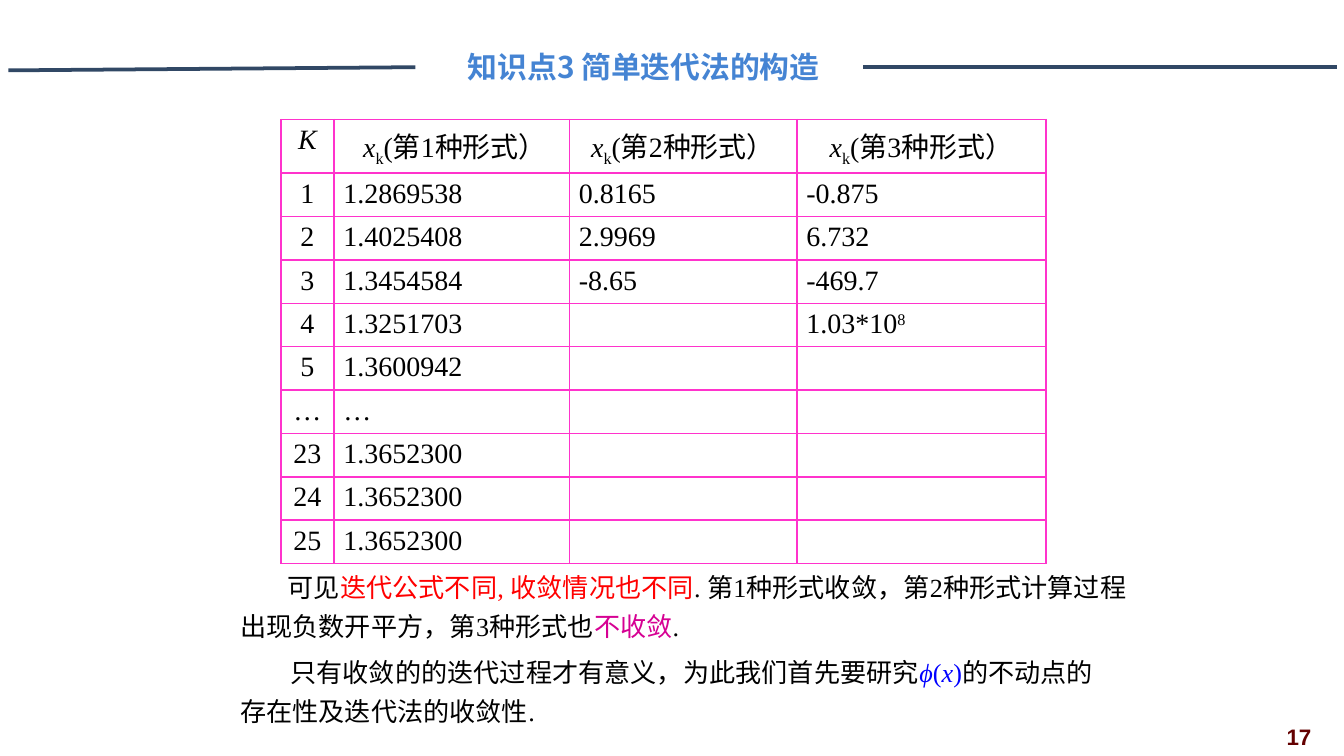
import pptx
import pptx.dml.color
import pptx.enum.shapes
import pptx.enum.text
import pptx.oxml.ns
import pptx.util
from lxml import etree

Cm, Pt, qn = pptx.util.Cm, pptx.util.Pt, pptx.oxml.ns.qn
ALIGN = pptx.enum.text.PP_ALIGN
SERIF, SANS = "Times New Roman", "Noto Sans CJK SC"
BLACK, BLUE, RED, PURPLE = "000000", "0000FF", "FF0000", "D60093"
TITLE, RULE, BORDER, NUMBER = "4584D3", "314865", "FF33CC", "640000"
TABLE_SIZE = 15

# A text is a list of runs: (words, run format)
ITALIC, SUB, SUPER = {"italic": True}, {"baseline": -25}, {"baseline": 30}
header = [[("K", ITALIC)]] + [
    [(lead, {}), ("x", ITALIC), ("k", SUB), (f"(第{form}种形式）", {})]
    for form, lead in ((1, " "), (2, ""), (3, ""))
]
iterations = [
    ("1", "1.2869538", "0.8165", "-0.875"),
    ("2", "1.4025408", "2.9969", "6.732"),
    ("3", "1.3454584", "-8.65", "-469.7"),
    ("4", "1.3251703", "", [("1.03*10", {}), ("8", SUPER)]),
    ("5", "1.3600942", "", ""),
    ("…", "…", "", ""),
    ("23", "1.3652300", "", ""),
    ("24", "1.3652300", "", ""),
    ("25", "1.3652300", "", ""),
]
column_widths = (1.0, 4.45, 4.3, 4.71)
row_height = 0.82

divergence = [
    ("可见", {}),
    ("迭代公式不同, 收敛情况也不同", {"color": RED}),
    (". 第1种形式收敛，第2种形式计算过程出现负数开平方，第3种形式也", {}),
    ("不收敛", {"color": PURPLE}),
    (".", {}),
]
outlook = [
    ("只有收敛的的迭代过程才有意义，为此我们首先要研究", {}),
    ("ϕ", {"color": BLUE, "italic": True}),
    ("(", {"color": BLUE}),
    ("x", {"color": BLUE, "italic": True}),
    (")", {"color": BLUE}),
    ("的不动点的存在性及迭代法的收敛性.", {}),
]
# left, top, width, height, runs, first-line indent
remarks = [
    (4.29, 10.52, 17.3, 1.75, divergence, 0.9),
    (4.29, 12.14, 16.94, 1.8, outlook, 0.95),
]
title_rules = [((0.16, 1.33), (7.85, 1.27)), ((16.31, 1.27), (25.27, 1.27))]


def rgb(code):
    return pptx.dml.color.RGBColor.from_string(code)


def write(frame, text, size=14, font=SERIF, color=BLACK, bold=False,
          align=ALIGN.LEFT, spacing=None, indent=None):
    """Fill a frame's first paragraph with a string or a list of runs."""
    frame.word_wrap = True
    paragraph = frame.paragraphs[0]
    paragraph.alignment = align
    if spacing:
        paragraph.line_spacing = spacing
    if indent:
        properties = paragraph._p.get_or_add_pPr()
        properties.set("marL", "0")
        properties.set("indent", str(Cm(indent)))
    for words, style in [(text, {})] if isinstance(text, str) else text:
        if not words:
            continue
        run = paragraph.add_run()
        run.text = words
        run.font.size = Pt(size)
        run.font.bold = bold
        run.font.italic = style.get("italic", False)
        run.font.color.rgb = rgb(style.get("color", color))
        run.font.name = font
        run_properties = run._r.get_or_add_rPr()
        etree.SubElement(run_properties, qn("a:ea"), typeface=SANS)
        if "baseline" in style:
            run_properties.set("baseline", str(style["baseline"] * 1000))
    # The end mark sets the line height of an empty cell
    end = etree.SubElement(paragraph._p, qn("a:endParaRPr"), sz=str(size * 100))
    etree.SubElement(end, qn("a:latin"), typeface=font)


def set_tight_margins(area):
    area.margin_left = area.margin_right = Cm(0.18)
    area.margin_top = area.margin_bottom = Cm(0.1)


def add_text(slide, left, top, width, height, text, **text_format):
    box = slide.shapes.add_textbox(Cm(left), Cm(top), Cm(width), Cm(height))
    write(box.text_frame, text, **text_format)
    return box.text_frame


def draw_borders(cell):
    properties = cell._tc.get_or_add_tcPr()
    for position, side in enumerate(("lnL", "lnR", "lnT", "lnB")):
        line = etree.Element(qn(f"a:{side}"), w=str(Pt(1)))
        fill = etree.SubElement(line, qn("a:solidFill"))
        etree.SubElement(fill, qn("a:srgbClr"), val=BORDER)
        properties.insert(position, line)


def add_iteration_table(slide, left, top):
    rows = [header, *iterations]
    table = slide.shapes.add_table(
        len(rows), len(column_widths), Cm(left), Cm(top),
        Cm(sum(column_widths)), Cm(row_height * len(rows))).table
    table.first_row = table.horz_banding = False
    for column, width in zip(table.columns, column_widths):
        column.width = Cm(width)
    for r, row in enumerate(rows):
        table.rows[r].height = Cm(row_height)
        for c, text in enumerate(row):
            cell = table.cell(r, c)
            cell.fill.background()
            set_tight_margins(cell)
            draw_borders(cell)
            centred = r == 0 or c == 0
            write(cell.text_frame, text, size=TABLE_SIZE,
                  align=ALIGN.CENTER if centred else ALIGN.LEFT)


def add_rule(slide, start, end):
    rule = slide.shapes.add_connector(
        pptx.enum.shapes.MSO_CONNECTOR.STRAIGHT,
        *(Cm(value) for value in start + end))
    rule.line.color.rgb = rgb(RULE)
    rule.line.width = Pt(2)
    etree.SubElement(rule._element.spPr, qn("a:effectLst"))


def main():
    presentation = pptx.Presentation()
    presentation.slide_width, presentation.slide_height = Cm(25.4), Cm(14.29)
    slide = presentation.slides.add_slide(presentation.slide_layouts[6])

    add_iteration_table(slide, 5.31, 2.26)
    page_number = add_text(slide, 23.7, 13.64, 1.7, 0.64, "17", size=12,
                           font="Arial", color=NUMBER, bold=True,
                           align=ALIGN.CENTER)
    page_number.vertical_anchor = pptx.enum.text.MSO_ANCHOR.BOTTOM
    set_tight_margins(page_number)
    for left, top, width, height, runs, indent in remarks:
        add_text(slide, left, top, width, height, runs,
                 spacing=1.25, indent=indent)
    for start, end in title_rules:
        add_rule(slide, start, end)
    add_text(slide, 4.95, 0.79, 14.43, 1.96, "知识点3 简单迭代法的构造",
             size=16, font=SANS, color=TITLE, bold=True, align=ALIGN.CENTER)
    presentation.save("out.pptx")


if __name__ == "__main__":
    main()
